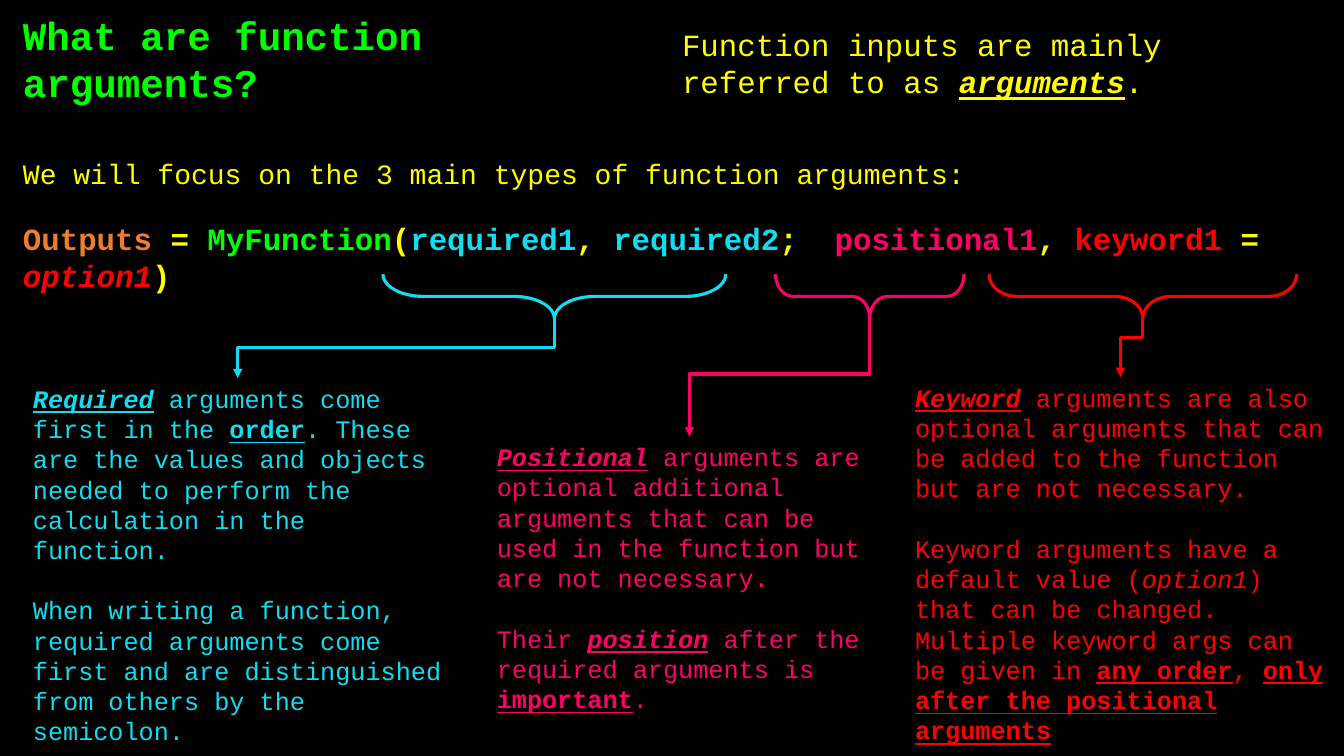
from dataclasses import dataclass

import pptx
import pptx.dml.color
import pptx.enum.shapes
import pptx.enum.text
import pptx.oxml.ns
import pptx.slide
import pptx.util
from lxml import etree

Cm = pptx.util.Cm
Pt = pptx.util.Pt

YELLOW, GREEN, ORANGE = "FFFF00", "00FF00", "ED7D31"
CYAN, PINK, RED = "13DCF1", "FF0066", "FF0000"

BRACE_CENTRE, BRACE_DEPTH = 7.47, 1.12
BRACE_TIP = BRACE_CENTRE + BRACE_DEPTH / 2
LINE_WIDTH = 2.25

STYLES = {
    "": {},
    "b": {"bold": True},
    "i": {"italic": True},
    "bi": {"bold": True, "italic": True},
    "bu": {"bold": True, "underline": True},
    "biu": {"bold": True, "italic": True, "underline": True},
}


@dataclass
class Span:
    text: str
    color: str
    style: str = ""


@dataclass
class Para:
    spans: list[Span]
    size: float
    space_before: float = 0


@dataclass
class Passage:
    left: float
    top: float
    width: float
    height: float
    paras: list[Para]


@dataclass
class Argument:
    color: str
    brace_x: float
    brace_length: float
    brace_curve: float
    arrow_bend: float
    passage: Passage


def rgb(value: str) -> pptx.dml.color.RGBColor:
    return pptx.dml.color.RGBColor.from_string(value)


def explain(color: str, *paras: list[tuple[str, str]]) -> list[Para]:
    return [
        Para([Span(text, color, style) for text, style in para], 18, 21.6 if index else 0)
        for index, para in enumerate(paras)
    ]


def draw_passage(slide: pptx.slide.Slide, passage: Passage) -> None:
    box = slide.shapes.add_textbox(
        Cm(passage.left), Cm(passage.top), Cm(passage.width), Cm(passage.height)
    )
    frame = box.text_frame
    frame.word_wrap = True
    frame.auto_size = pptx.enum.text.MSO_AUTO_SIZE.SHAPE_TO_FIT_TEXT
    for index, para in enumerate(passage.paras):
        paragraph = frame.add_paragraph() if index else frame.paragraphs[0]
        if para.space_before:
            paragraph.space_before = Pt(para.space_before)
        for span in para.spans:
            run = paragraph.add_run()
            run.text = span.text
            run.font.color.rgb = rgb(span.color)
            formats = {"name": "Courier New", "size": Pt(para.size), **STYLES[span.style]}
            for attribute, value in formats.items():
                setattr(run.font, attribute, value)


def draw_brace(slide: pptx.slide.Slide, argument: Argument) -> None:
    brace = slide.shapes.add_shape(
        pptx.enum.shapes.MSO_SHAPE.RIGHT_BRACE,
        Cm(argument.brace_x - BRACE_DEPTH / 2),
        Cm(BRACE_CENTRE - argument.brace_length / 2),
        Cm(BRACE_DEPTH),
        Cm(argument.brace_length),
    )
    brace.rotation = 90
    brace.adjustments[0] = argument.brace_curve
    brace.shadow.inherit = False
    brace.fill.background()
    brace.line.color.rgb = rgb(argument.color)
    brace.line.width = Pt(LINE_WIDTH)


def draw_arrow(slide: pptx.slide.Slide, argument: Argument) -> None:
    passage = argument.passage
    target_x = passage.left + passage.width / 2
    middle_x = (argument.brace_x + target_x) / 2
    middle_y = (BRACE_TIP + passage.top) / 2
    half_drop = (passage.top - BRACE_TIP) / 2
    half_run = (argument.brace_x - target_x) / 2
    arrow = slide.shapes.add_connector(
        pptx.enum.shapes.MSO_CONNECTOR.ELBOW,
        Cm(middle_x - half_drop),
        Cm(middle_y - half_run),
        Cm(middle_x + half_drop),
        Cm(middle_y + half_run),
    )
    arrow.line.color.rgb = rgb(argument.color)
    arrow.line.width = Pt(LINE_WIDTH)
    qn = pptx.oxml.ns.qn
    properties = arrow.element.spPr
    properties.find(qn("a:xfrm")).set("rot", "5400000")
    bends = properties.find(qn("a:prstGeom")).find(qn("a:avLst"))
    etree.SubElement(
        bends, qn("a:gd"), name="adj1", fmla=f"val {round(argument.arrow_bend * 100000)}"
    )
    etree.SubElement(properties.find(qn("a:ln")), qn("a:tailEnd"), type="triangle")
    etree.SubElement(properties, qn("a:effectLst"))


TITLE = Passage(0.33, 0.15, 16.38, 1.45, [
    Para([Span("What are function arguments?", GREEN, "b")], 28),
])
DEFINITION = Passage(16.94, 0.53, 16, 2.13, [
    Para([
        Span("Function inputs are mainly referred to as ", YELLOW),
        Span("arguments", YELLOW, "biu"),
        Span(".", YELLOW),
    ], 22),
])
SIGNATURE = Passage(0.33, 3.81, 33.53, 2.82, [
    Para([Span("We will focus on the 3 main types of function arguments:", YELLOW)], 20),
    Para([
        Span("Outputs", ORANGE, "b"),
        Span(" = ", YELLOW, "b"),
        Span("MyFunction", GREEN, "b"),
        Span("(", YELLOW, "b"),
        Span("required1", CYAN, "b"),
        Span(", ", YELLOW, "b"),
        Span("required2", CYAN, "b"),
        Span(";  ", YELLOW, "b"),
        Span("positional1", PINK, "b"),
        Span(", ", YELLOW, "b"),
        Span("keyword1", RED, "b"),
        Span(" = ", YELLOW, "b"),
        Span("option1", RED, "bi"),
        Span(")", YELLOW, "b"),
    ], 22, 21.6),
])

ARGUMENTS = [
    Argument(CYAN, 13.97, 8.64, 0.91, 0.48, Passage(0.58, 9.53, 10.82, 7.95, explain(
        CYAN,
        [("Required", "biu"), (" arguments come first in the ", ""), ("order", "bu"),
         (". These are the values and objects needed to perform the calculation in the function.", "")],
        [("When writing a function, required arguments come first and are distinguished "
          "from others by the semicolon.", "")],
    ))),
    Argument(PINK, 21.92, 4.75, 0.39, 0.47, Passage(12.27, 11, 10.21, 7.19, explain(
        PINK,
        [("Positional", "biu"), (" arguments are optional additional arguments that can be used "
                                 "in the function but are not necessary.", "")],
        [("Their ", ""), ("position", "biu"), (" after the required arguments is ", ""),
         ("important", "bu"), (".", "")],
    ))),
    Argument(RED, 28.8, 7.75, 0.63, 0.33, Passage(22.81, 9.5, 10.85, 8.71, explain(
        RED,
        [("Keyword", "biu"), (" arguments are also optional arguments that can be added "
                              "to the function but are not necessary.", "")],
        [("Keyword arguments have a default value (", ""), ("option1", "i"),
         (") that can be changed. Multiple keyword args can be given in ", ""),
         ("any order", "bu"), (", ", ""), ("only after the positional arguments", "bu")],
    ))),
]


def main() -> None:
    deck = pptx.Presentation()
    deck.slide_width, deck.slide_height = Cm(33.87), Cm(19.05)
    slide = deck.slides.add_slide(deck.slide_layouts[6])
    slide.background.fill.solid()
    slide.background.fill.fore_color.rgb = rgb("000000")
    for passage in (TITLE, DEFINITION, SIGNATURE):
        draw_passage(slide, passage)
    for argument in ARGUMENTS:
        draw_brace(slide, argument)
        draw_arrow(slide, argument)
        draw_passage(slide, argument.passage)
    deck.save("out.pptx")


if __name__ == "__main__":
    main()
